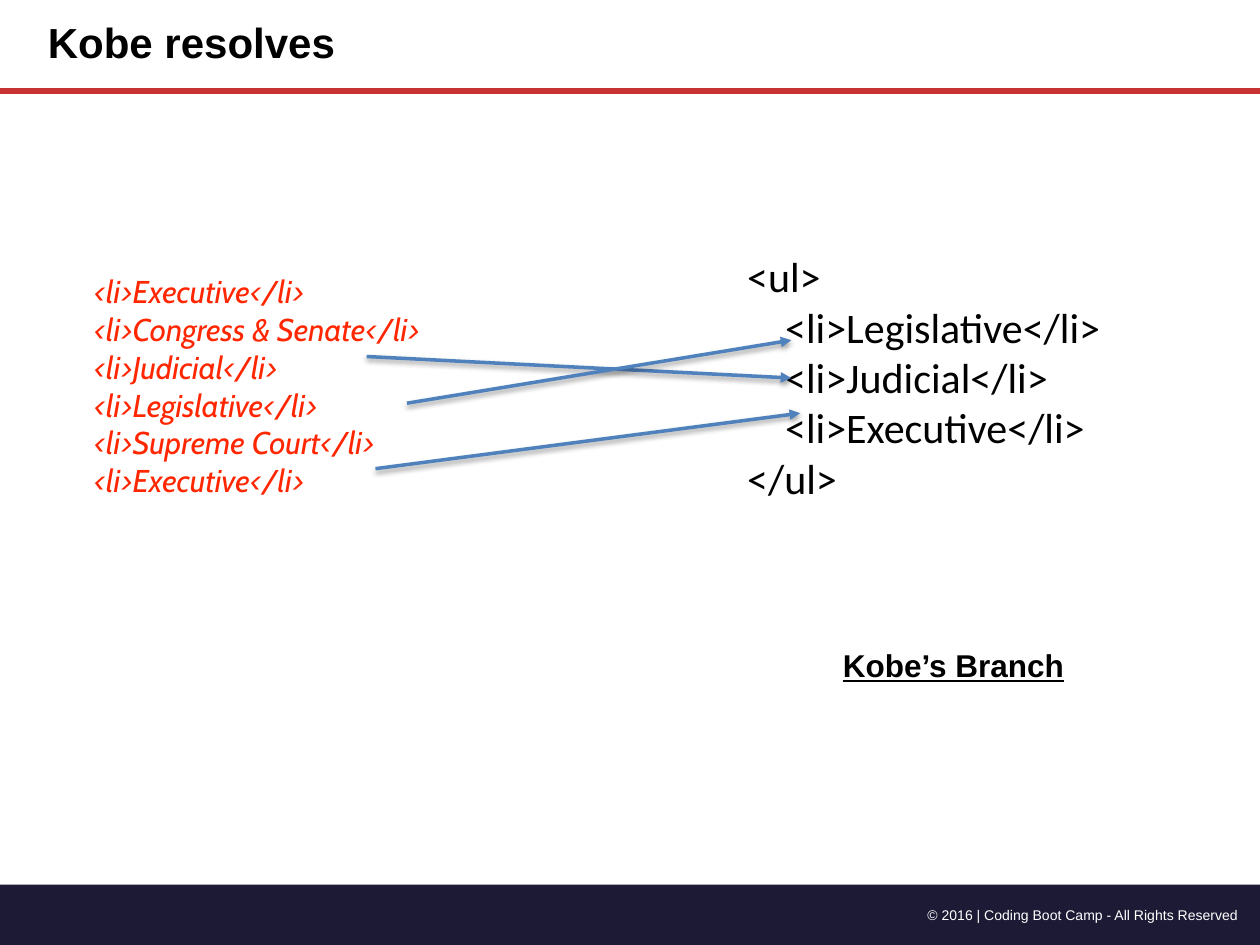
from dataclasses import dataclass
from lxml.etree import SubElement as Sub
from pptx import Presentation
from pptx.dml.color import RGBColor as RGB
from pptx.enum.shapes import MSO_CONNECTOR as Conn, MSO_SHAPE as Shape
from pptx.enum.text import MSO_ANCHOR as Anchor, MSO_AUTO_SIZE as Auto, PP_ALIGN as Align
from pptx.oxml.ns import qn
from pptx.util import Inches, Pt


@dataclass(frozen=True)
class Theme:
    ink: str = "000000"
    paper: str = "FFFFFF"
    navy: str = "1D1A36"
    rule: str = "C83232"
    code: str = "FF2600"
    arrow: str = "4F81BD"
    big: int = 24
    mid: int = 18
    small: int = 8


T = Theme()
TITLE = ["Kobe resolves"]
FOUND = [
    "    <li>Executive</li>",
    "    <li>Congress & Senate</li>",
    "    <li>Judicial</li>",
    "    <li>Legislative</li>",
    "    <li>Supreme Court</li>",
    "    <li>Executive</li>",
]
MERGED = [
    "<ul>",
    "    <li>Legislative</li>",
    "    <li>Judicial</li>",
    "    <li>Executive</li>",
    "</ul>",
]
LABEL = ["Kobe’s Branch"]
RIGHTS = ["© 2016 | Coding Boot Camp - All Rights Reserved"]

# Boxes and arrow ends are percentages of the slide's width and height.
BOX = {
    "title": (3.3, 0, 59.8, 9.6),
    "found": (4.7, 28.13, 41.8, 28.53),
    "merged": (58.8, 25.87, 33.7, 27.2),
    "label": (66.4, 67.73, 18.7, 5.07),
    "bar": (0, 93.6, 100, 6.4),
    "rights": (68.3, 95.33, 30.5, 2.93),
}
RULE = (0, 9.6, 100, 9.6)
ARROWS = [
    (29.1, 37.73, 62.8, 40),
    (29.8, 49.6, 63.5, 43.73),
    (32.3, 42.67, 62.8, 36),
]

deck = Presentation()
deck.slide_width, deck.slide_height = Inches(10), Inches(7.5)
slide = deck.slides.add_slide(deck.slide_layouts[3])
shapes = slide.shapes


def scale(area):
    sides = (deck.slide_width, deck.slide_height) * 2
    return [round(part * side / 100) for part, side in zip(area, sides)]


def place(shape, area):
    for name, value in zip(("left", "top", "width", "height"), scale(area)):
        setattr(shape, name, value)


def write(shape, area, lines, face, size, color, wrap=True,
          anchor=Anchor.TOP, align=Align.LEFT, space=1.0, **style):
    place(shape, area)
    frame = shape.text_frame
    pad = Inches(0.05)
    layout = dict(margin_left=pad, margin_right=pad, margin_top=pad,
                  margin_bottom=pad, word_wrap=wrap,
                  vertical_anchor=anchor, auto_size=Auto.NONE)
    for name, value in layout.items():
        setattr(frame, name, value)
    for i, line in enumerate(lines):
        para = frame.add_paragraph() if i else frame.paragraphs[0]
        props = para._p.get_or_add_pPr()
        props.set("marL", "0")
        props.set("indent", "0")
        Sub(props, qn("a:buNone"))
        para.alignment, para.line_spacing = align, space
        para.space_before = Pt(0)
        run = para.add_run()
        run.text = line
        run.font.color.rgb = RGB.from_string(color)
        for name, value in dict(name=face, size=Pt(size), **style).items():
            setattr(run.font, name, value)


def draw(ends, color, width):
    line = shapes.add_connector(Conn.STRAIGHT, *scale(ends))
    line.line.color.rgb = RGB.from_string(color)
    line.line.width = Pt(width)
    return line, Sub(line._element.spPr, qn("a:effectLst"))


bar = shapes.add_shape(Shape.RECTANGLE, *scale(BOX["bar"]))
bar.shadow.inherit = False
bar.fill.solid()
bar.fill.fore_color.rgb = RGB.from_string(T.navy)
bar.line.fill.background()

head, left, right = slide.placeholders
rights, label = (shapes.add_textbox(*scale(BOX[key])) for key in ("rights", "label"))
write(rights, BOX["rights"], RIGHTS, "Arial", T.small, T.paper, align=Align.RIGHT)
draw(RULE, T.rule, 3.25)
write(head, BOX["title"], TITLE, "Arial", T.big, T.ink,
      anchor=Anchor.MIDDLE, space=0.9, bold=True)
write(right, BOX["merged"], MERGED, "Calibri", T.big, T.ink, wrap=False)
write(left, BOX["found"], FOUND, "Cabin", T.mid, T.code, italic=True)
write(label, BOX["label"], LABEL, "Arial", T.mid, T.ink,
      wrap=False, bold=True, underline=True)

for ends in ARROWS:
    line, effects = draw(ends, T.arrow, 2)
    Sub(line.line._get_or_add_ln(), qn("a:tailEnd"), type="triangle")
    shade = Sub(effects, qn("a:outerShdw"), blurRad=str(Pt(3)), dist=str(Pt(1.6)),
                dir="5400000", rotWithShape="0")
    tint = Sub(shade, qn("a:srgbClr"), val=T.ink)
    Sub(tint, qn("a:alpha"), val="38000")

deck.save("out.pptx")
